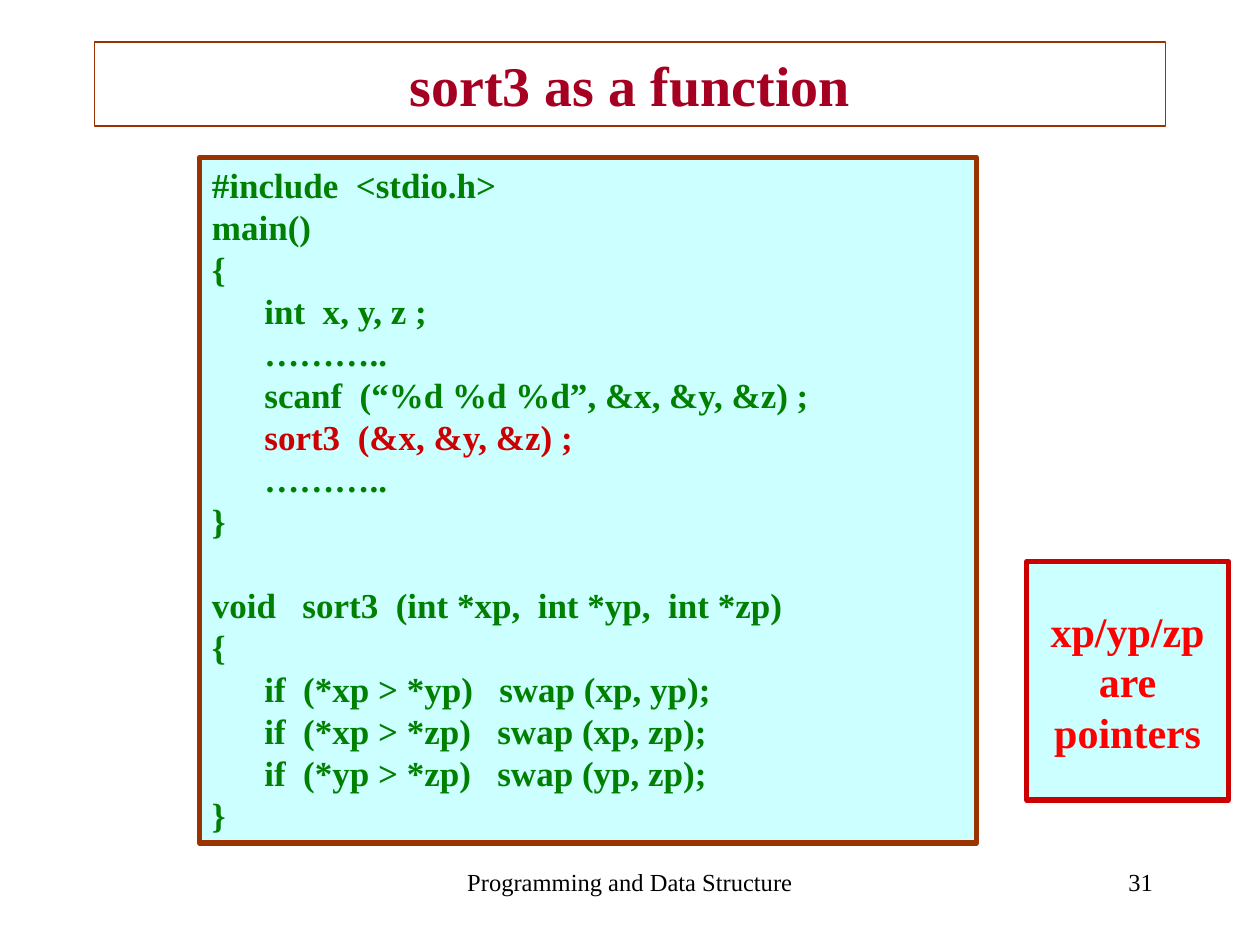
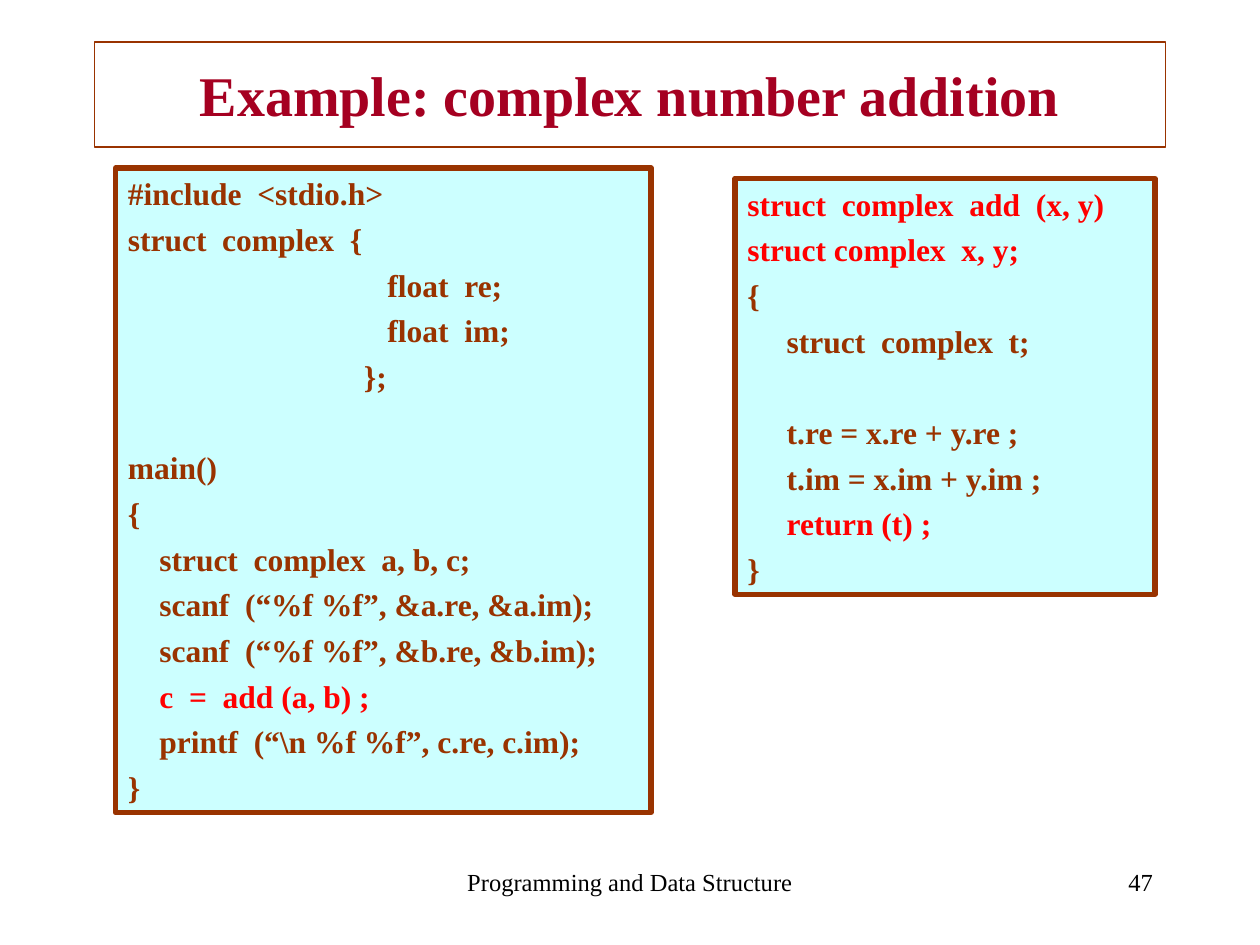
from pptx import Presentation
from pptx import util as u
from pptx.dml import color
from pptx.enum import shapes, text

UNIT = u.Inches(1 / 12)
FONT = "Times New Roman"
BROWN, GREEN, RED, CRIMSON = "993300", "008000", "FF0000", "CC0000"
BLACK, MAROON, CYAN = "000000", "A50021", "CCFFFF"
LINE_HEIGHT = 1.2


def rgb(value):
    return color.RGBColor.from_string(value)


def write(shape, content, look, frame_look, accent=None, accented=()):
    frame = shape.text_frame
    for name, value in frame_look.items():
        setattr(frame, name, value)
    before, gap, size = look["before"], 0, look["size"]
    paragraph = None
    for row in content.split("\n"):
        if not row:
            gap += size * LINE_HEIGHT + before
            continue
        first = paragraph is None
        paragraph = frame.paragraphs[0] if first else frame.add_paragraph()
        paragraph.alignment = look["align"]
        paragraph.space_before = u.Pt(0 if first else before + gap)
        gap = 0
        run = paragraph.add_run()
        run.text = row
        for name, value in {"name": FONT, "size": u.Pt(size), "bold": look["bold"]}.items():
            setattr(run.font, name, value)
        run.font.color.rgb = rgb(accent if row.strip() in accented else look["color"])


left, center, right = text.PP_ALIGN.LEFT, text.PP_ALIGN.CENTER, text.PP_ALIGN.RIGHT
top, middle = text.MSO_ANCHOR.TOP, text.MSO_ANCHOR.MIDDLE
fit, fixed = text.MSO_AUTO_SIZE.SHAPE_TO_FIT_TEXT, text.MSO_AUTO_SIZE.NONE

heading = {"size": 32, "color": MAROON, "bold": True, "align": center, "before": 0}
footer = {"size": 14, "color": BLACK, "bold": False, "align": center, "before": 0}
sorting = {"size": 20, "color": GREEN, "bold": True, "align": left, "before": 0}
remark = {"size": 24, "color": RED, "bold": True, "align": center, "before": 0}
addition = {"size": 18, "color": BROWN, "bold": True, "align": left, "before": 4.5}

code_frame = {"word_wrap": True, "vertical_anchor": top, "auto_size": fit}
remark_frame = {"word_wrap": False, "vertical_anchor": middle, "auto_size": fixed}
title_frame = {"word_wrap": True, "vertical_anchor": middle, "auto_size": fixed}
footer_frame = {"word_wrap": True, "vertical_anchor": top, "auto_size": fixed}

sort_program = """#include  <stdio.h>
main()
{
      int  x, y, z ;
      ………..
      scanf  (“%d %d %d”, &x, &y, &z) ;
      sort3  (&x, &y, &z) ;
      ………..
}

void   sort3  (int *xp,  int *yp,  int *zp)
{
      if  (*xp > *yp)   swap (xp, yp);
      if  (*xp > *zp)   swap (xp, zp);
      if  (*yp > *zp)   swap (yp, zp);
}"""

complex_program = """#include  <stdio.h>
struct  complex  {
                                 float  re;
                                 float  im;
                              };

main()
{
    struct  complex  a, b, c;
    scanf  (“%f %f”, &a.re, &a.im);
    scanf  (“%f %f”, &b.re, &b.im);
    c  =  add (a, b) ;
    printf  (“\\n %f %f”, c.re, c.im);
}"""

add_function = """struct  complex  add  (x, y)
struct complex  x, y;
{
     struct  complex  t;

     t.re = x.re + y.re ;
     t.im = x.im + y.im ;
     return (t) ;
}"""

highlights = [
    "sort3  (&x, &y, &z) ;",
    "c  =  add (a, b) ;",
    "struct  complex  add  (x, y)",
    "struct complex  x, y;",
    "return (t) ;",
]

pages = [
    ("sort3 as a function", 8, "31", [
        ((19, 15, 74, 65.3), BROWN, sort_program, sorting, code_frame, CRIMSON),
        ((97.8, 53.5, 19.2, 22.7), CRIMSON, "xp/yp/zp\nare\npointers", remark, remark_frame, RED),
    ]),
    ("Example: complex number addition", 10, "47", [
        ((11, 16, 51, 61.4), BROWN, complex_program, addition, code_frame, RED),
        ((70, 17, 40, 39.6), BROWN, add_function, addition, code_frame, RED),
    ]),
]

deck = Presentation()
deck.slide_width, deck.slide_height = 120 * UNIT, 90 * UNIT

for topic, topic_rows, number, panels in pages:
    slide = deck.slides.add_slide(deck.slide_layouts[5])

    for words, column, columns, align in [
        ("Programming and Data Structure", 41, 38, center),
        (number, 86, 25, right),
    ]:
        note = slide.shapes.add_textbox(*[int(n * UNIT) for n in (column, 82, columns, 6)])
        write(note, words, {**footer, "align": align}, footer_frame)

    title = slide.shapes.title
    for side, cells in {"left": 9, "top": 4, "width": 102, "height": topic_rows}.items():
        setattr(title, side, cells * UNIT)
    title.line.color.rgb = rgb(BROWN)
    title.line.width = u.Pt(0.75)
    write(title, topic, heading, title_frame)

    for cells, border, content, look, frame_look, accent in panels:
        panel = slide.shapes.add_shape(
            shapes.MSO_SHAPE.RECTANGLE, *[int(n * UNIT) for n in cells])
        panel.shadow.inherit = False
        panel.fill.solid()
        panel.fill.fore_color.rgb = rgb(CYAN)
        panel.line.color.rgb = rgb(border)
        panel.line.width = u.Pt(3)
        write(panel, content, look, frame_look, accent, highlights)

deck.save("out.pptx")
